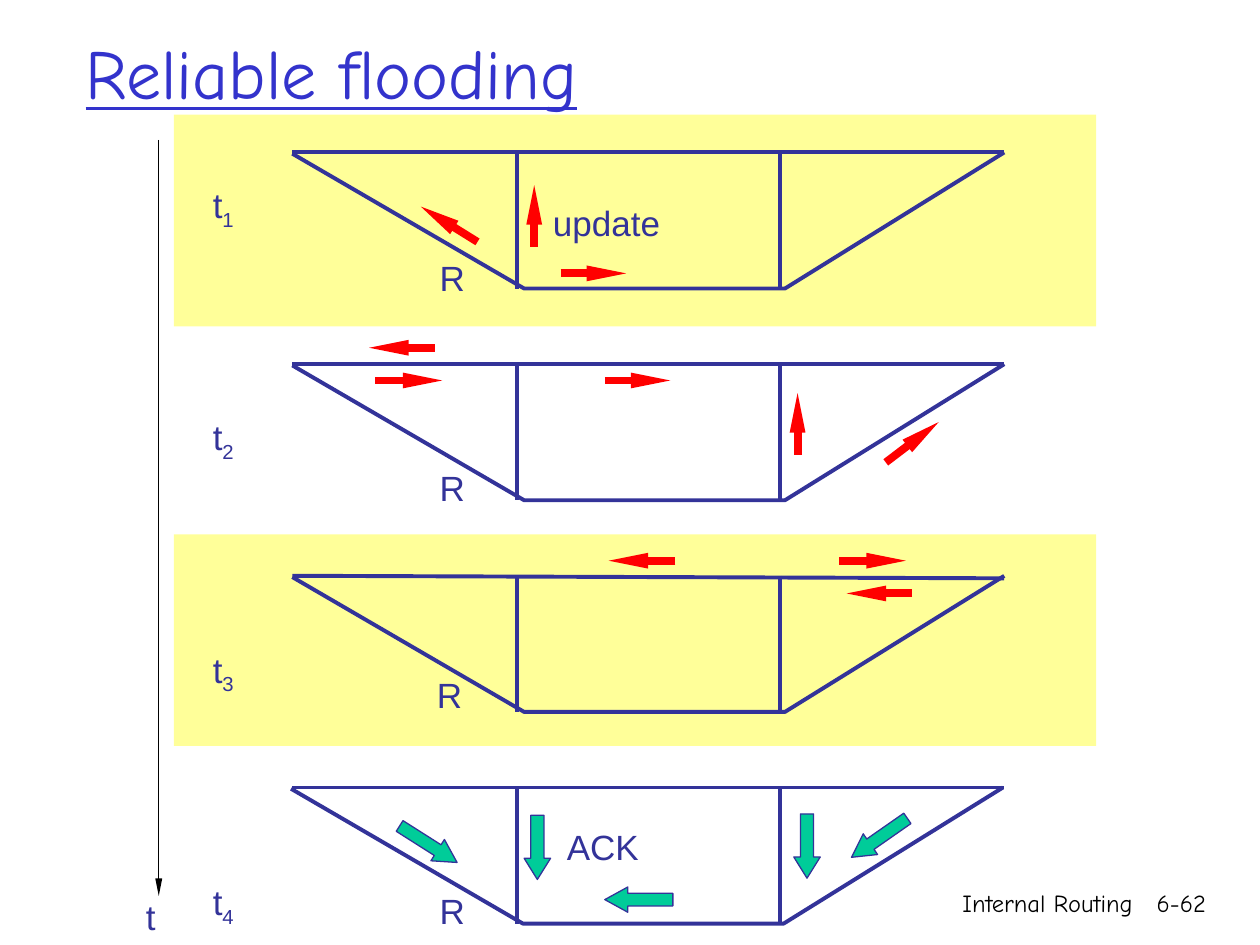
from pptx import Presentation
from pptx.dml.color import RGBColor
from pptx.enum.shapes import MSO_CONNECTOR, MSO_SHAPE
from pptx.enum.text import MSO_ANCHOR, PP_ALIGN
from pptx.oxml.ns import qn
from pptx.util import Inches, Pt
from lxml.etree import SubElement

NAVY = RGBColor(0x33, 0x33, 0x99)
BLUE = RGBColor(0x33, 0x33, 0xCC)
YELLOW = RGBColor(0xFF, 0xFF, 0x99)
RED = RGBColor(0xFF, 0, 0)
GREEN = RGBColor(0, 0xCC, 0x99)
BLACK = RGBColor(0, 0, 0)
BODY, HAND = "Arial", "Comic Neue"

TOP, PITCH, DEPTH = 1.21, 1.68, 1.08
LEFT, RIGHT = 2.32, 7.97
POSTS = [4.1, 6.19]
BANDS = [0.91, 4.24]

STEPS = [
    {"tilt": 0, "shift": 0, "router": (3.39, 0.78), "sends": [
        (4.45, 0.96, 4.97, 0.96), (3.79, 0.71, 3.34, 0.43),
        (4.24, 0.75, 4.24, 0.26)]},
    {"tilt": 0, "shift": 0, "router": (3.39, 0.76), "sends": [
        (7.03, 0.78, 7.45, 0.46), (6.33, 0.72, 6.33, 0.23),
        (3.45, -0.13, 2.93, -0.13), (4.8, 0.13, 5.32, 0.13),
        (2.98, 0.13, 3.51, 0.13)]},
    {"tilt": 0.02, "shift": 0, "router": (3.37, 0.73), "sends": [
        (5.36, -0.12, 4.83, -0.12), (6.66, -0.12, 7.19, -0.12),
        (7.24, 0.14, 6.72, 0.14)]},
    {"tilt": 0, "shift": -0.01, "router": (3.39, 0.76), "sends": []},
]
ACKS = [
    (4.16, 6.47, 0.21, 0.51, 0, 0.8),
    (6.3, 6.46, 0.21, 0.51, 0, 0.8),
    (4.97, 6.87, 0.2, 0.54, 90, 0.91),
    (6.88, 6.38, 0.2, 0.54, 55.1, 0.91),
    (3.3, 6.43, 0.2, 0.54, 302.4, 0.91),
]
NOTES = [
    ("update", 4.29, 1.55, 1.06),
    ("ACK", 4.4, 6.5, 0.78),
    ("t", 1.06, 7.06, 0.28),
]
FOOT = [("Internal Routing", 5.92, 3.17), ("6-62", 8.93, 0.74)]

deck = Presentation()
deck.slide_width, deck.slide_height = Inches(10), Inches(7.5)
slide = deck.slides.add_slide(deck.slide_layouts[5])
shapes = slide.shapes


def add_run(para, text, size=20, name=BODY, color=NAVY):
    run = para.add_run()
    run.text = text
    run.font.size, run.font.name = Pt(size), name
    run.font.color.rgb = color
    return run


def add_box(x, y, w, h, wrap=False):
    box = shapes.add_textbox(Inches(x), Inches(y), Inches(w), Inches(h))
    box.text_frame.word_wrap = wrap
    return box.text_frame.paragraphs[0]


def add_line(x1, y1, x2, y2, color=NAVY, width=2.25, head=False):
    line = shapes.add_connector(
        MSO_CONNECTOR.STRAIGHT, Inches(x1), Inches(y1), Inches(x2), Inches(y2))
    line.line.color.rgb, line.line.width = color, Pt(width)
    if head:
        SubElement(line.line._get_or_add_ln(), qn("a:tailEnd"),
                   type="triangle", w="sm", len="lg")
    SubElement(line._element.spPr, qn("a:effectLst"))


def add_solid(kind, x, y, w, h, color):
    shape = shapes.add_shape(kind, Inches(x), Inches(y), Inches(w), Inches(h))
    shape.shadow.inherit = False
    shape.fill.solid()
    shape.fill.fore_color.rgb = color
    return shape


def add_net(y, tilt, shift):
    add_line(LEFT, y, RIGHT, y + tilt)
    start, *rest = [(Inches(x + shift), Inches(y + dy)) for x, dy in (
        (LEFT, 0.01), (4.16, DEPTH), (6.23, DEPTH), (RIGHT, 0))]
    path = shapes.build_freeform(*start)
    path.add_line_segments(rest, close=False)
    hull = path.convert_to_shape()
    hull.shadow.inherit = False
    hull.fill.background()
    hull.line.color.rgb, hull.line.width = NAVY, Pt(2.25)
    for x in POSTS:
        add_line(x, y, x, y + DEPTH)


title = shapes.title
title.left, title.top = Inches(0.58), Inches(0.19)
title.width, title.height = Inches(8.5), Inches(0.76)
title.text_frame.vertical_anchor = MSO_ANCHOR.MIDDLE
head = title.text_frame.paragraphs[0]
head.alignment = PP_ALIGN.LEFT
add_run(head, "Reliable flooding", 40, HAND, BLUE).font.underline = True

for text, x, w in FOOT:
    para = add_box(x, 7, w, 0.5, True)
    para.alignment = PP_ALIGN.RIGHT
    add_run(para, text, 14, HAND, BLACK)

for y in BANDS:
    add_solid(MSO_SHAPE.RECTANGLE, 1.38, y, 7.32, PITCH, YELLOW).line.fill.background()

for row, step in enumerate(STEPS):
    y = TOP + row * PITCH
    add_net(y, step["tilt"], step["shift"])
    for x1, y1, x2, y2 in step["sends"]:
        add_line(x1, y + y1, x2, y + y2, RED, 4.5, True)
    x, drop = step["router"]
    add_run(add_box(x, y + drop, 0.4, 0.43), "R")

for x, y, w, h, turn, tip in ACKS:
    ack = add_solid(MSO_SHAPE.DOWN_ARROW, x, y, w, h, GREEN)
    ack.line.color.rgb, ack.line.width = NAVY, Pt(0.75)
    ack.adjustments[0], ack.adjustments[1] = 0.5, tip
    ack.rotation = turn

add_line(1.26, 1.11, 1.26, 7.11, BLACK, 0.75, True)
for text, x, y, w in NOTES:
    add_run(add_box(x, y, w, 0.43), text)

para = add_box(1.59, 1.39, 0.38, 5.71)
frame = para._parent
for num in range(1, len(STEPS) + 1):
    if num > 1:
        para = frame.add_paragraph()
        para.space_before = Pt(104)
    para.line_spacing = 1.05
    add_run(para, "t")
    sub = add_run(para, str(num))
    sub.font._element.set("baseline", "-25000")

deck.save("out.pptx")
